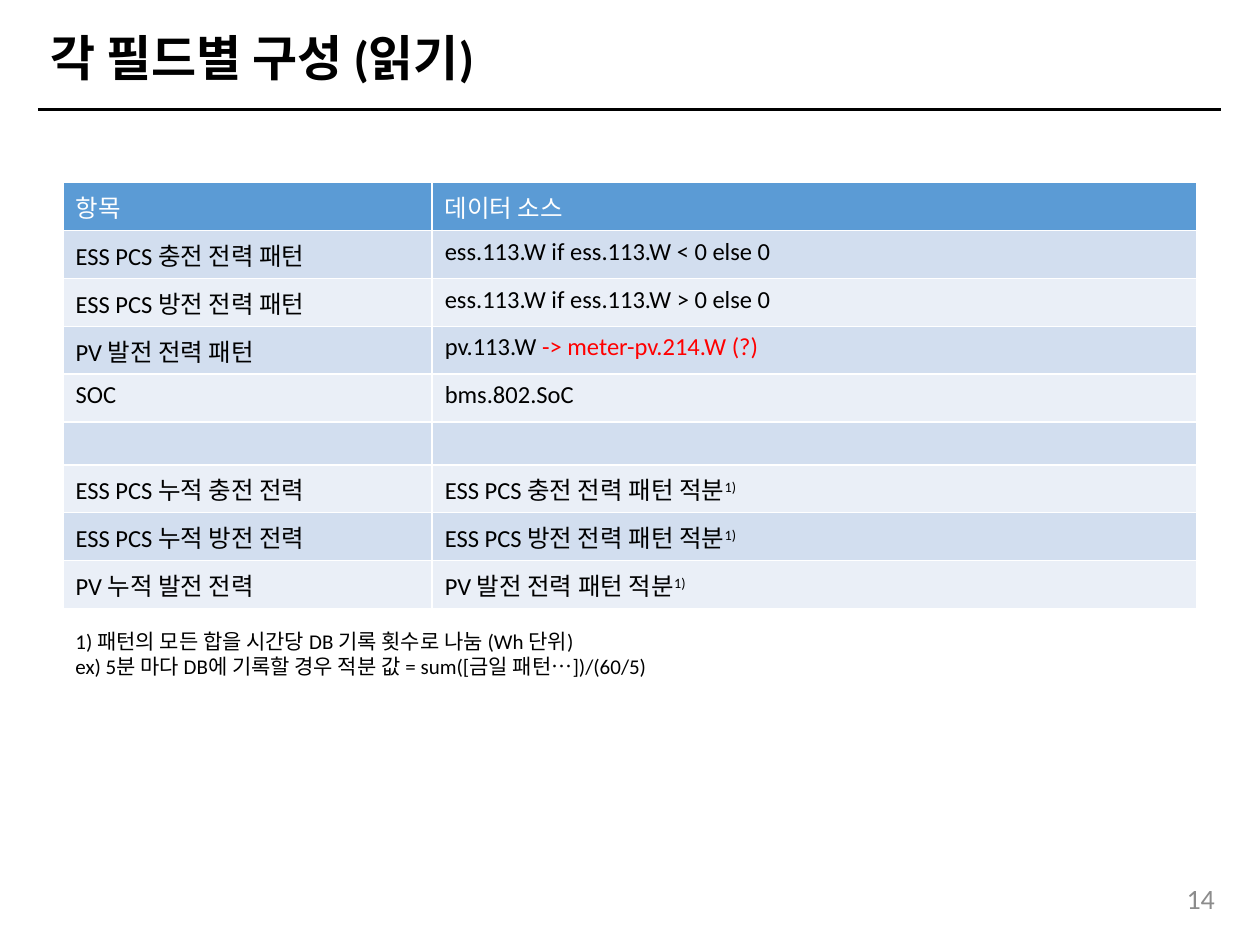
from dataclasses import dataclass

from lxml.etree import SubElement
from pptx import Presentation
from pptx.dml.color import RGBColor
from pptx.enum.shapes import MSO_CONNECTOR
from pptx.enum.text import MSO_ANCHOR, MSO_AUTO_SIZE, PP_ALIGN
from pptx.oxml.ns import qn
from pptx.util import Inches, Pt


@dataclass(frozen=True)
class Theme:
    """Colours, font and type sizes of the slide."""
    font: str = "Calibri"
    ink: str = "000000"
    white: str = "FFFFFF"
    muted: str = "8C8C8C"
    alert: str = "FF0000"
    header: str = "5B9BD5"
    bands: tuple = ("D2DEEF", "EAEFF7")
    title_size: int = 28
    number_size: int = 16
    table_size: int = 14
    note_size: int = 12


THEME = Theme()
NOTE_MARK = "1)"
COLUMN_WIDTHS = (2.93, 6.07)
ROW_HEIGHT, GAP_HEIGHT = 0.38, 0.34
HEADINGS = ("항목", "데이터 소스")
FIELDS = (
    ("ESS PCS 충전 전력 패턴", "ess.113.W if ess.113.W < 0 else 0", ""),
    ("ESS PCS 방전 전력 패턴", "ess.113.W if ess.113.W > 0 else 0", ""),
    ("PV 발전 전력 패턴", "pv.113.W", " -> meter-pv.214.W (?)"),
    ("SOC", "bms.802.SoC", ""),
    ("", "", ""),
    ("ESS PCS 누적 충전 전력", "ESS PCS 충전 전력 패턴 적분", NOTE_MARK),
    ("ESS PCS 누적 방전 전력", "ESS PCS 방전 전력 패턴 적분", NOTE_MARK),
    ("PV 누적 발전 전력", "PV 발전 전력 패턴 적분", NOTE_MARK),
)
NOTES = (
    "1) 패턴의 모든 합을 시간당 DB 기록 횟수로 나눔 (Wh 단위)",
    "ex) 5분 마다 DB에 기록할 경우 적분 값 = sum([금일 패턴…])/(60/5)",
)


def style_paragraph(paragraph, size, color, bold=False):
    """Set the font of a whole paragraph."""
    font = paragraph.font
    font.name, font.size, font.bold = THEME.font, Pt(size), bold
    font.color.rgb = RGBColor.from_string(color)


def add_text(slide, box, lines, size, color=THEME.ink, bold=False, wrap=True):
    """Add a text box with one paragraph per line and return its frame."""
    frame = slide.shapes.add_textbox(*map(Inches, box)).text_frame
    frame.word_wrap = wrap
    frame.text = "\n".join(lines)
    for paragraph in frame.paragraphs:
        style_paragraph(paragraph, size, color, bold)
    return frame


def add_rule(slide, left, right, top):
    """Add the horizontal rule under the title."""
    rule = slide.shapes.add_connector(
        MSO_CONNECTOR.STRAIGHT, Inches(left), Inches(top), Inches(right), Inches(top))
    rule.line.color.rgb = RGBColor.from_string(THEME.ink)
    rule.line.width = Pt(1.5)
    SubElement(rule._element.spPr, qn("a:effectLst"))


def set_borders(cell):
    """Draw thin white borders around a cell."""
    properties = cell._tc.get_or_add_tcPr()
    for position, side in enumerate(("lnL", "lnR", "lnT", "lnB")):
        border = SubElement(properties, qn(f"a:{side}"), w=str(Pt(1)))
        fill = SubElement(border, qn("a:solidFill"))
        SubElement(fill, qn("a:srgbClr"), val=THEME.white)
        properties.insert(position, border)


def fill_cell(cell, text, fill, color=THEME.ink):
    """Write a cell's text and set its fill, font and borders."""
    cell.text = text
    style_paragraph(cell.text_frame.paragraphs[0], THEME.table_size, color)
    cell.fill.solid()
    cell.fill.fore_color.rgb = RGBColor.from_string(fill)
    set_borders(cell)


def add_suffix(cell, suffix):
    """Append a raised note mark or a highlighted remark to a cell."""
    run = cell.text_frame.paragraphs[0].add_run()
    run.text = suffix
    if suffix == NOTE_MARK:
        run._r.get_or_add_rPr().set("baseline", "30000")
    else:
        run.font.color.rgb = RGBColor.from_string(THEME.alert)


def add_field_table(slide, left, top):
    """Add the table of fields and their data sources."""
    heights = [ROW_HEIGHT] + [ROW_HEIGHT if item else GAP_HEIGHT for item, _, _ in FIELDS]
    table = slide.shapes.add_table(
        len(heights), len(COLUMN_WIDTHS), Inches(left), Inches(top),
        Inches(sum(COLUMN_WIDTHS)), Inches(sum(heights))).table
    for column, width in zip(table.columns, COLUMN_WIDTHS):
        column.width = Inches(width)
    for row, height in zip(table.rows, heights):
        row.height = Inches(height)
    for column, heading in enumerate(HEADINGS):
        fill_cell(table.cell(0, column), heading, THEME.header, THEME.white)
    for index, (item, source, suffix) in enumerate(FIELDS):
        band = THEME.bands[index % 2]
        item_cell, source_cell = table.rows[index + 1].cells
        fill_cell(item_cell, item, band)
        fill_cell(source_cell, source, band)
        if suffix:
            add_suffix(source_cell, suffix)


def main():
    """Build the slide and save it."""
    deck = Presentation()
    deck.slide_width, deck.slide_height = Inches(10), Inches(7.5)
    slide = deck.slides.add_slide(deck.slide_layouts[6])

    add_rule(slide, 0.3, 9.69, 0.87)
    number = add_text(slide, (7.49, 6.93, 2.25, 0.4), ["14"], THEME.number_size, THEME.muted)
    number.vertical_anchor = MSO_ANCHOR.MIDDLE
    number.paragraphs[0].alignment = PP_ALIGN.RIGHT
    title = add_text(slide, (0.3, 0.18, 8.62, 0.6), ["각 필드별 구성 (읽기)"],
                     THEME.title_size, bold=True)
    title.vertical_anchor = MSO_ANCHOR.MIDDLE
    title.paragraphs[0].line_spacing = 0.9
    add_field_table(slide, 0.5, 1.45)
    notes = add_text(slide, (0.5, 4.94, 5.25, 0.5), NOTES, THEME.note_size, wrap=False)
    notes.auto_size = MSO_AUTO_SIZE.SHAPE_TO_FIT_TEXT

    deck.save("out.pptx")


if __name__ == "__main__":
    main()
